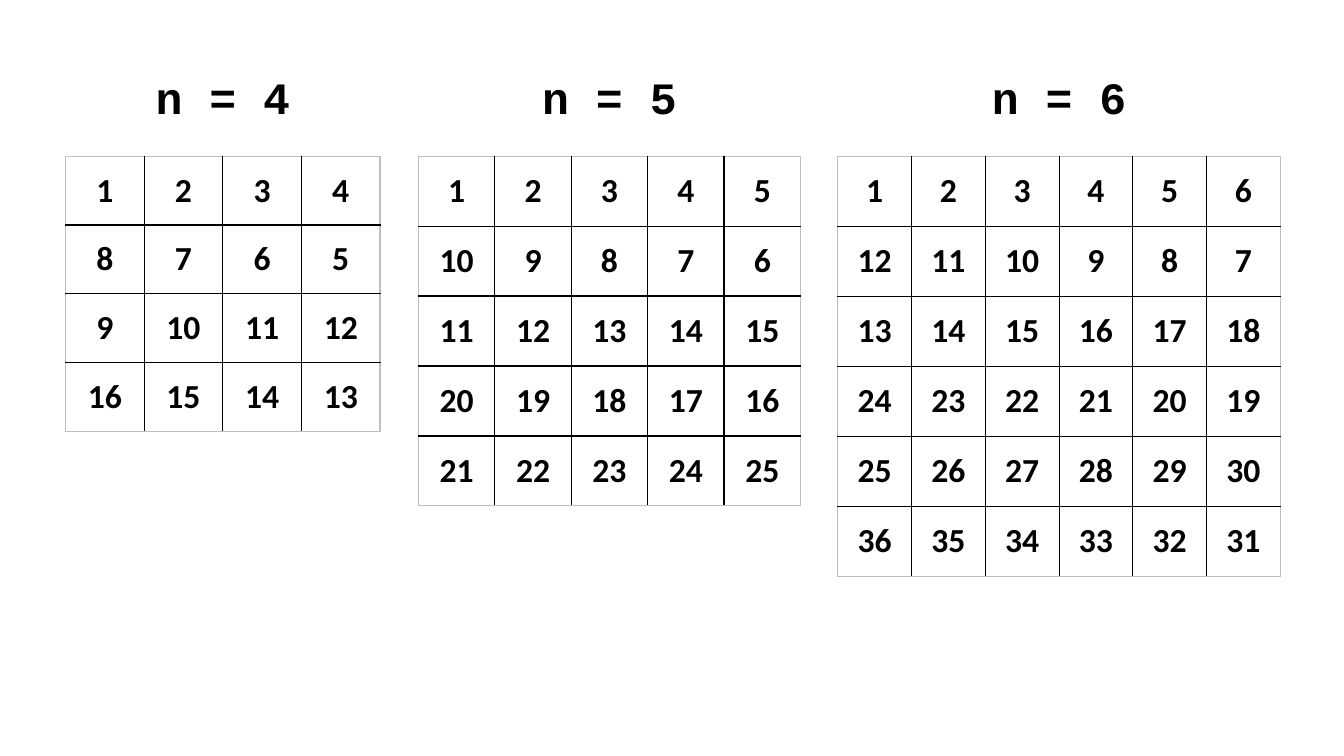
from lxml.etree import SubElement
from pptx import Presentation
from pptx.dml.color import RGBColor
from pptx.enum.text import MSO_ANCHOR, PP_ALIGN
from pptx.oxml.ns import qn
from pptx.util import Inches, Pt

BLACK = RGBColor(0x00, 0x00, 0x00)
GREY = RGBColor(0xBF, 0xBF, 0xBF)
TOP = 1.55
GRIDS = [
    (4, 0.65, 3.12, 2.73),
    (5, 4.15, 3.79, 3.47),
    (6, 8.31, 4.39, 4.17),
]


def write(frame, text, font, size, color=BLACK, bold=True):
    para = frame.paragraphs[0]
    para.alignment = PP_ALIGN.CENTER
    run = para.add_run()
    run.text = text
    run.font.name = font
    run.font.size = Pt(size)
    run.font.bold = bold
    run.font.color.rgb = color


def border(cell, side, color):
    line = SubElement(cell._tc.get_or_add_tcPr(), qn(f"a:{side}"), w=str(Pt(1)))
    fill = SubElement(line, qn("a:solidFill"))
    SubElement(fill, qn("a:srgbClr"), val=str(color))


def snake(row, col, count):
    step = col if row % 2 == 0 else count - 1 - col
    return row * count + step + 1


def add_title(slide, text, left, top, width, height):
    box = slide.shapes.add_textbox(
        Inches(left), Inches(top), Inches(width), Inches(height))
    box.text_frame.word_wrap = True
    write(box.text_frame, text, font="Courier New", size=32)


def add_grid(slide, count, left, top, width, height):
    table = slide.shapes.add_table(
        count, count, Inches(left), Inches(top),
        Inches(width), Inches(height)).table
    table.first_row = False
    table.horz_banding = False
    last = count - 1
    for row in range(count):
        for col in range(count):
            cell = table.cell(row, col)
            cell.margin_left = cell.margin_right = Inches(0.07)
            cell.margin_top = cell.margin_bottom = Inches(0.04)
            cell.vertical_anchor = MSO_ANCHOR.MIDDLE
            edges = {"lnL": col == 0, "lnR": col == last,
                     "lnT": row == 0, "lnB": row == last}
            for side, outer in edges.items():
                border(cell, side, GREY if outer else BLACK)
            cell.fill.background()
            write(cell.text_frame, str(snake(row, col, count)),
                  font="Calibri", size=24)


def add_panel(slide, count, left, top, width, height):
    span = 2.21
    add_grid(slide, count, left, top, width, height)
    add_title(slide, f"n = {count}", left + (width - span) / 2,
              top - 0.91, span, 0.64)


def main():
    deck = Presentation()
    deck.slide_width = Inches(13.33)
    deck.slide_height = Inches(7.5)
    slide = deck.slides.add_slide(deck.slide_layouts[6])
    for count, left, width, height in GRIDS:
        add_panel(slide, count, left, TOP, width, height)
    deck.save("out.pptx")


if __name__ == "__main__":
    main()
